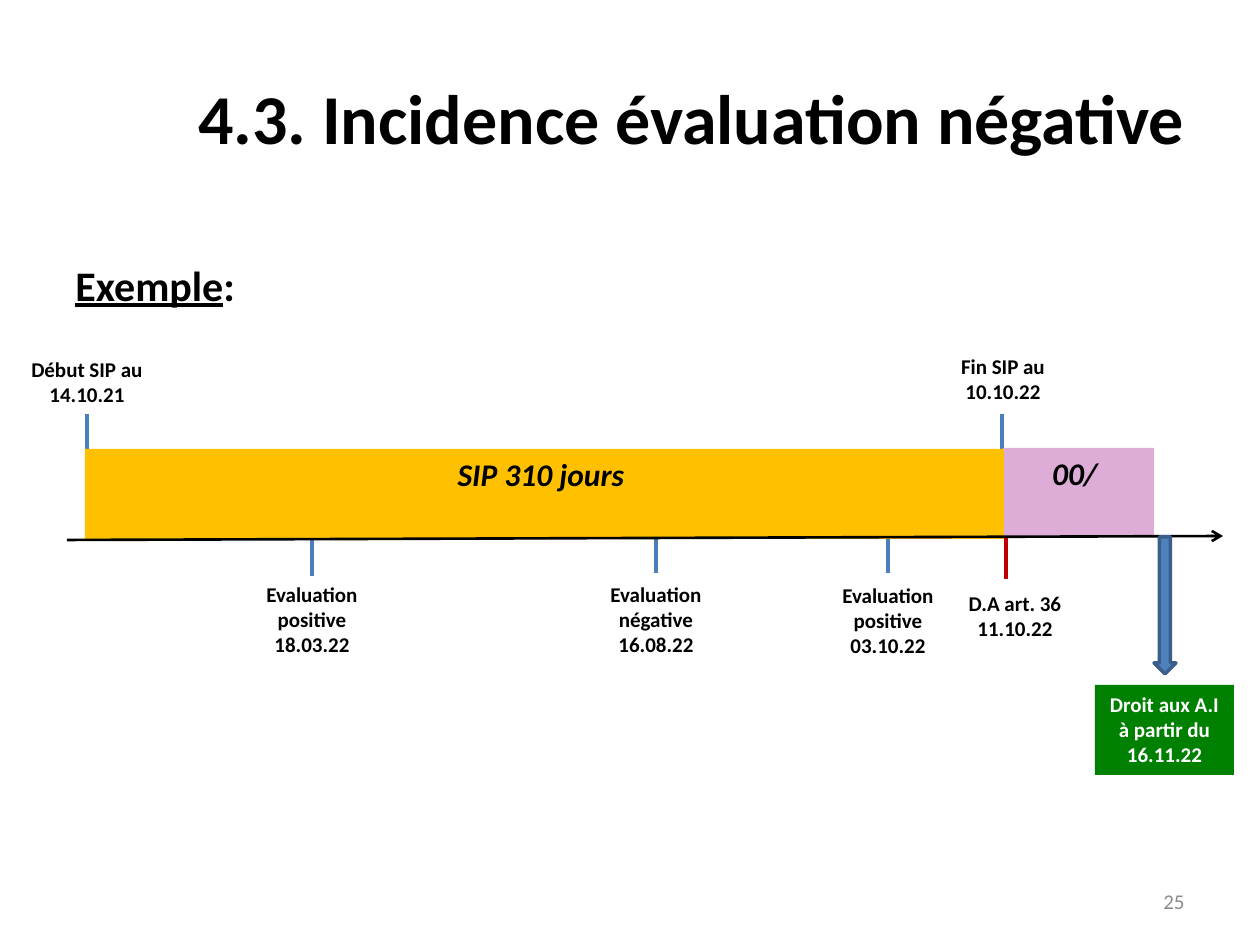
from lxml.etree import SubElement
from pptx import Presentation
from pptx.dml.color import RGBColor
from pptx.enum.shapes import MSO_CONNECTOR, MSO_SHAPE
from pptx.enum.text import MSO_ANCHOR, PP_ALIGN
from pptx.oxml.ns import qn
from pptx.util import Emu, Pt

PX_PER_INCH = 126
BLACK = "000000"
WHITE = "FFFFFF"
TICK_BLUE = "4B7EBC"
LABEL_WIDTH = 139


def px(value):
    return Emu(round(value * 914400 / PX_PER_INCH))


def color(hex_value):
    return RGBColor.from_string(hex_value)


def write(shape, text, size, ink=BLACK, align=PP_ALIGN.CENTER,
          anchor=MSO_ANCHOR.TOP, bold=True, italic=False):
    frame = shape.text_frame
    frame.word_wrap = True
    frame.vertical_anchor = anchor
    frame.text = text
    paragraph = frame.paragraphs[0]
    paragraph.alignment = align
    for run in paragraph.runs:
        style(run, size, ink, bold, italic)
    return paragraph


def style(run, size, ink=BLACK, bold=True, italic=False):
    run.font.name = "Calibri"
    run.font.size = Pt(size)
    run.font.color.rgb = color(ink)
    run.font.bold = bold
    run.font.italic = italic


def add_text(slide, left, top, width, height, text, size, **options):
    box = slide.shapes.add_textbox(px(left), px(top), px(width), px(height))
    return write(box, text, size, **options)


def add_label(slide, center, top, height, text):
    add_text(slide, center - LABEL_WIDTH / 2, top, LABEL_WIDTH, height, text, 12)


def add_block(slide, left, top, width, height, fill, kind=MSO_SHAPE.RECTANGLE):
    block = slide.shapes.add_shape(kind, px(left), px(top), px(width), px(height))
    block.shadow.inherit = False
    block.fill.solid()
    block.fill.fore_color.rgb = color(fill)
    block.line.fill.background()
    return block


def add_line(slide, start, end, ink, weight):
    line = slide.shapes.add_connector(
        MSO_CONNECTOR.STRAIGHT, *(px(value) for value in (*start, *end)))
    line.line.color.rgb = color(ink)
    line.line.width = Pt(weight)
    SubElement(line._element.spPr, qn("a:effectLst"))
    return line


def add_time_axis(slide):
    axis = add_line(slide, (67, 540), (1223, 536), BLACK, 1.5)
    SubElement(axis.line._get_or_add_ln(), qn("a:tailEnd"), type="arrow")


def add_rights_arrow(slide):
    arrow = add_block(slide, 1154, 537, 22, 137, "4F81BD", MSO_SHAPE.DOWN_ARROW)
    arrow.line.color.rgb = color("3A5F8C")
    arrow.line.width = Pt(2)


def main():
    presentation = Presentation()
    presentation.slide_width = px(1260)
    presentation.slide_height = px(945)
    slide = presentation.slides.add_slide(presentation.slide_layouts[6])

    ticks = [
        (656, 536, 573, TICK_BLUE),
        (888, 537, 573, TICK_BLUE),
        (1006, 481, 579, "C00000"),
        (1002, 414, 538, TICK_BLUE),
        (312, 538, 576, TICK_BLUE),
        (87, 414, 538, TICK_BLUE),
    ]
    for x, top, bottom, ink in ticks:
        add_line(slide, (x, top), (x, bottom), ink, 2)

    add_text(slide, 63, 38, 1134, 157, "4.3. Incidence évaluation négative", 40,
             align=PP_ALIGN.RIGHT, anchor=MSO_ANCHOR.MIDDLE)

    waiting_period = add_block(slide, 1003, 448, 151, 89, "DDADD7")
    write(waiting_period, "00/ ", 18, italic=True)
    sip_period = add_block(slide, 85, 449, 919, 90, "FFC000")
    write(sip_period, "SIP 310 jours ", 18, italic=True)
    add_time_axis(slide)

    labels = [
        (87, 350, 63, "Début SIP au 14.10.21"),
        (312, 575, 89, "Evaluation positive 18.03.22"),
        (656, 575, 89, "Evaluation négative 16.08.22"),
        (1003, 347, 63, "Fin SIP au 10.10.22"),
        (1015, 584, 63, "D.A art. 36 11.10.22"),
        (888, 576, 89, "Evaluation positive 03.10.22"),
    ]
    for label in labels:
        add_label(slide, *label)

    add_rights_arrow(slide)
    rights = add_block(slide, 1095, 685, LABEL_WIDTH, 90, "008000")
    write(rights, "Droit aux A.I à partir du 16.11.22", 12, ink=WHITE)

    example = add_text(slide, 63, 253, 338, 63, "Exemple", 24, align=PP_ALIGN.LEFT)
    example.runs[0].font.underline = True
    colon = example.add_run()
    colon.text = ":"
    style(colon, 24)

    add_text(slide, 903, 876, 294, 50, "25", 12, ink="8C8C8C",
             align=PP_ALIGN.RIGHT, anchor=MSO_ANCHOR.MIDDLE, bold=False)

    presentation.save("out.pptx")


if __name__ == "__main__":
    main()
